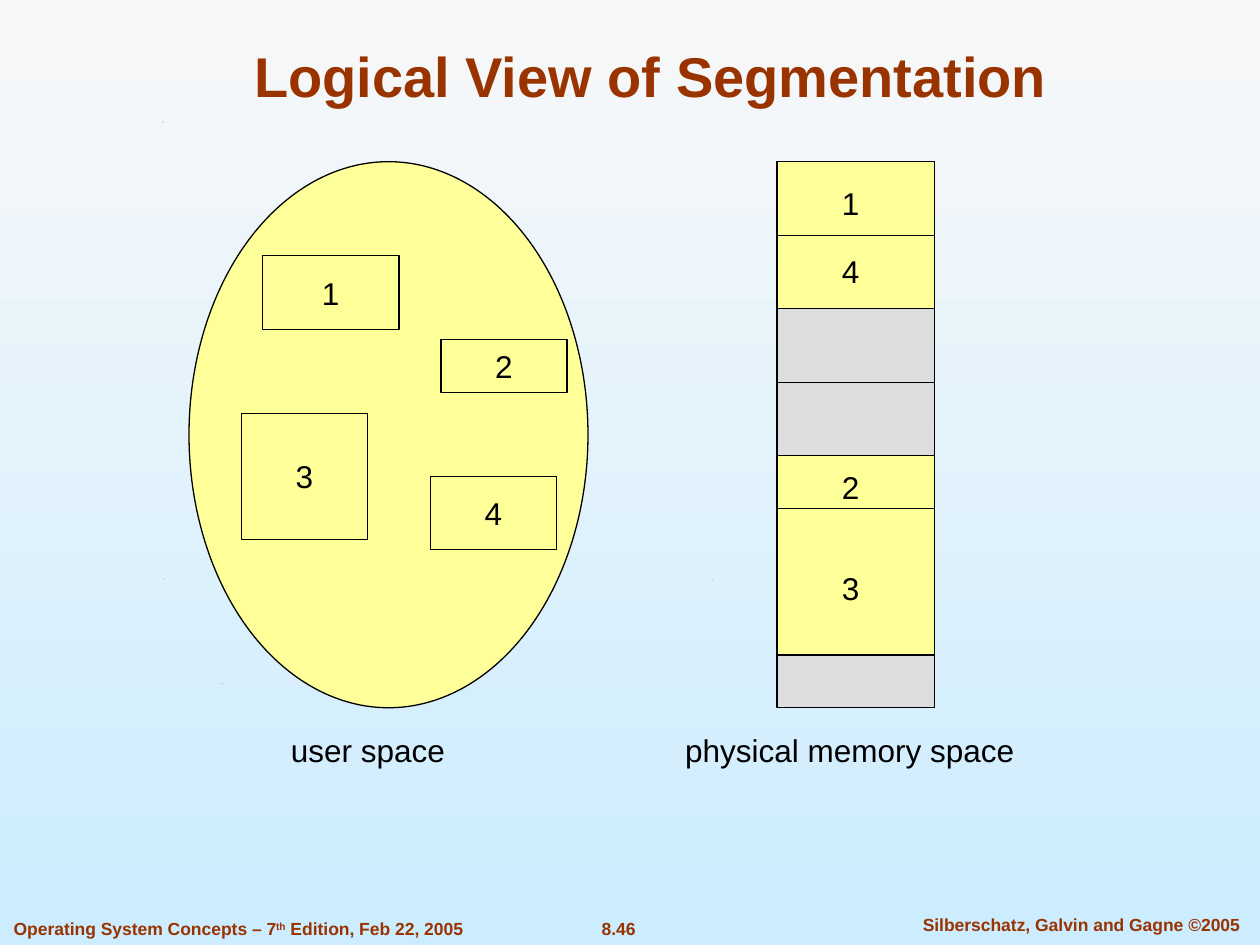
"""Build the Logical View of Segmentation slide."""
from dataclasses import dataclass

from lxml import etree
from pptx import Presentation
from pptx.dml.color import RGBColor
from pptx.enum import shapes, text
from pptx.oxml import ns
from pptx.util import Pt

BROWN, BLACK, YELLOW, GREY = "993300", "000000", "FFFF99", "DDDDDD"
RECT, OVAL = shapes.MSO_SHAPE.RECTANGLE, shapes.MSO_SHAPE.OVAL
CENTER, LEFT = text.PP_ALIGN.CENTER, text.PP_ALIGN.LEFT
TOP, MIDDLE, BOTTOM = (text.MSO_ANCHOR.TOP, text.MSO_ANCHOR.MIDDLE,
                       text.MSO_ANCHOR.BOTTOM)
MEMORY_X, MEMORY_TOP, MEMORY_W = 444, 92.4, 90


@dataclass
class Box:
    x: float
    y: float
    w: float
    h: float
    label: str = ""
    fill: str = YELLOW
    kind: int = RECT


@dataclass
class Block:
    h: float
    fill: str
    split: float = 0


@dataclass
class Label:
    text: str
    cx: float
    cy: float
    w: float


USER_SPACE = [
    Box(108, 92.4, 228, 312, kind=OVAL),
    Box(150, 146.2, 78, 42, "1"),
    Box(138, 236.2, 72, 72, "3"),
    Box(252, 194.2, 72, 30, "2"),
    Box(246, 272.2, 72, 42, "4"),
]
MEMORY = [Block(84, YELLOW, 42), Block(84, GREY, 42),
          Block(114, YELLOW, 30), Block(30, GREY)]
LABELS = [
    Label("1", 486, 116.2, 24.4),
    Label("4", 486, 154.8, 24.4),
    Label("2", 486, 278, 24.4),
    Label("3", 486, 335.8, 24.4),
    Label("user space", 210.2, 428.4, 107),
    Label("physical memory space", 485.6, 428.4, 202),
]
SPECKS = [(126.8, 390.8), (93.8, 331), (406.8, 331.6), (92.8, 70)]


def color(value: str) -> RGBColor:
    return RGBColor.from_string(value)


def write(tf, *parts: str, size=18, ink=BLACK, bold=False, align=CENTER,
          anchor=MIDDLE, wrap=False, raised=()) -> None:
    tf.word_wrap, tf.vertical_anchor = wrap, anchor
    tf.auto_size = text.MSO_AUTO_SIZE.NONE
    tf.margin_left = tf.margin_right = Pt(7.2)
    tf.margin_top = tf.margin_bottom = Pt(3.6)
    p = tf.paragraphs[0]
    p.alignment = align
    for part in parts:
        r = p.add_run()
        r.text = part
        r.font.name, r.font.size, r.font.bold = "Arial", Pt(size), bold
        r.font.color.rgb = color(ink)
        if part in raised:
            r._r.get_or_add_rPr().set("baseline", "30000")


def add_text(s, x: float, y: float, w: float, h: float, *parts: str,
             **style) -> None:
    sp = s.shapes.add_textbox(Pt(x), Pt(y), Pt(w), Pt(h))
    write(sp.text_frame, *parts, **style)


def add_box(s, box: Box) -> None:
    sp = s.shapes.add_shape(box.kind, Pt(box.x), Pt(box.y),
                            Pt(box.w), Pt(box.h))
    sp.shadow.inherit = False
    sp.fill.solid()
    sp.fill.fore_color.rgb = color(box.fill)
    sp.line.color.rgb = color(BLACK)
    sp.line.width = Pt(0.75)
    if box.label:
        write(sp.text_frame, box.label)


def add_divider(s, y: float) -> None:
    line = s.shapes.add_connector(shapes.MSO_CONNECTOR.STRAIGHT, Pt(MEMORY_X),
                                  Pt(y), Pt(MEMORY_X + MEMORY_W), Pt(y))
    line.line.color.rgb = color(BLACK)
    line.line.width = Pt(0.75)
    etree.SubElement(line._element.spPr, ns.qn("a:effectLst"))


def add_memory(s, blocks: list[Block]) -> None:
    y = MEMORY_TOP
    for block in blocks:
        add_box(s, Box(MEMORY_X, y, MEMORY_W, block.h, fill=block.fill))
        if block.split:
            add_divider(s, y + block.split)
        y += block.h


def add_speck(s, x: float, y: float) -> None:
    builder = s.shapes.build_freeform(Pt(x), Pt(y))
    builder.add_line_segments([(Pt(x + 0.5), Pt(y - 0.4)),
                               (Pt(x + 0.2), Pt(y))])
    sp = builder.convert_to_shape()
    sp.shadow.inherit = False
    sp.fill.solid()
    sp.fill.fore_color.rgb = color(BLACK)
    sp.line.fill.background()


def add_footer(s) -> None:
    style = dict(size=10, ink=BROWN, bold=True, anchor=TOP, wrap=True)
    add_text(s, 318.2, 521, 70.6, 19, "8.46", **style)
    add_text(s, 511, 518.8, 213.8, 19.4,
             "Silberschatz, Galvin and Gagne ©2005", **style)
    add_text(s, 0.7, 521, 300, 19, "Operating System Concepts – 7", "th",
             " Edition, Feb 22, 2005", align=LEFT, raised=("th",), **style)


def main() -> None:
    prs = Presentation()
    prs.slide_width, prs.slide_height = Pt(720), Pt(540)
    s = prs.slides.add_slide(prs.slide_layouts[5])
    bg = s.background.fill
    bg.gradient()
    bg.gradient_angle = 270
    for stop, value in zip(bg.gradient_stops, ("F8F8F8", "CCECFF")):
        stop.color.rgb = color(value)

    title = s.shapes.title
    title.left, title.top, title.width, title.height = map(
        Pt, (54, 17.8, 635.8, 48))
    write(title.text_frame, "Logical View of Segmentation", size=32,
          ink=BROWN, bold=True, anchor=BOTTOM, wrap=True)

    for x, y in SPECKS:
        add_speck(s, x, y)
    add_footer(s)
    for box in USER_SPACE:
        add_box(s, box)
    add_memory(s, MEMORY)
    for label in LABELS:
        add_text(s, label.cx - label.w / 2, label.cy - 14.4, label.w, 28.8,
                 label.text)
    prs.save("out.pptx")


if __name__ == "__main__":
    main()
